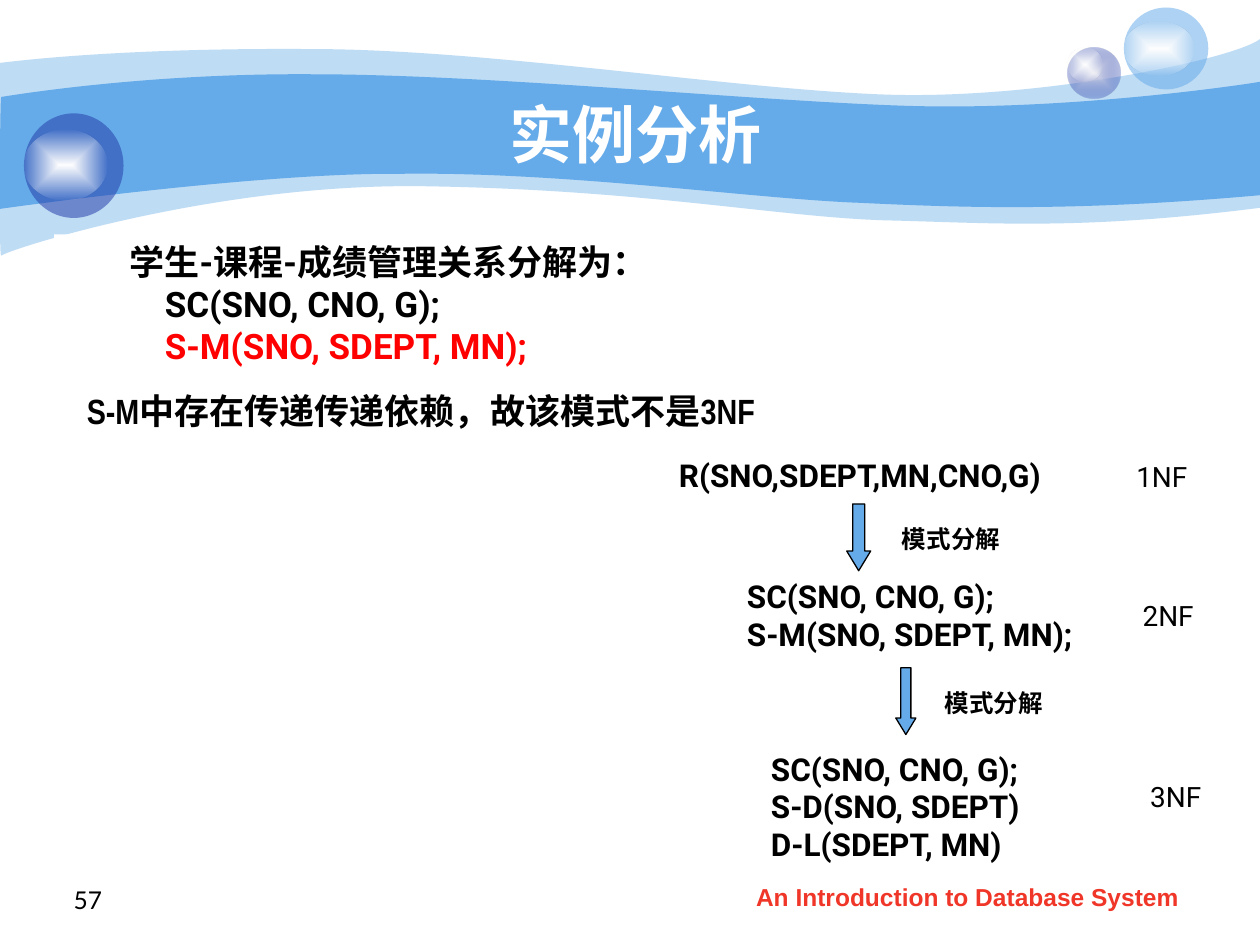
from lxml import etree
from pptx import Presentation
from pptx.dml.color import RGBColor
from pptx.enum.shapes import MSO_SHAPE
from pptx.enum.text import MSO_ANCHOR, MSO_AUTO_SIZE, PP_ALIGN
from pptx.oxml.ns import qn
from pptx.util import Inches, Pt

OVAL, RECT, DOWN = MSO_SHAPE.OVAL, MSO_SHAPE.RECTANGLE, MSO_SHAPE.DOWN_ARROW
LEFT, MID, RIGHT = PP_ALIGN.LEFT, PP_ALIGN.CENTER, PP_ALIGN.RIGHT
TOP, CENTER, LOW = MSO_ANCHOR.TOP, MSO_ANCHOR.MIDDLE, MSO_ANCHOR.BOTTOM
BLACK = RGBColor(0x00, 0x00, 0x00)
WHITE = RGBColor(0xFF, 0xFF, 0xFF)
SKY = RGBColor(0x65, 0xAA, 0xE9)
NAVY = RGBColor(0x23, 0x3D, 0xA9)
MIST = RGBColor(0xE1, 0xE2, 0xED)
RED = RGBColor(0xFF, 0x00, 0x00)
BRICK = RGBColor(0xF0, 0x36, 0x28)

deck = Presentation()
deck.slide_width, deck.slide_height = Inches(10), Inches(7.5)
COL = deck.slide_width // 100
ROW = deck.slide_height // 75
slide = deck.slides.add_slide(deck.slide_layouts[5])
shapes = slide.shapes


def paint(form, *tints):
    form.shadow.inherit = False
    form.line.fill.background()
    if len(tints) == 1:
        form.fill.solid()
        form.fill.fore_color.rgb = tints[0][0]
    else:
        form.fill.gradient()
        for stop, tint in zip(form.fill.gradient_stops, tints):
            stop.color.rgb = tint[0]
        grad = form._element.spPr.find(qn("a:gradFill"))
        grad.remove(grad.find(qn("a:lin")))
        focus = etree.SubElement(grad, qn("a:path"), path="shape")
        etree.SubElement(focus, qn("a:fillToRect"), l="50000", t="50000", r="50000", b="50000")
    for mark, tint in zip(form._element.spPr.iter(qn("a:srgbClr")), tints):
        if tint[1] < 100:
            etree.SubElement(mark, qn("a:alpha"), val=str(tint[1] * 1000))


def write(form, lines, size, font, bold=True, align=LEFT, anchor=TOP, wrap=True):
    frame = form.text_frame
    frame.word_wrap = wrap
    frame.auto_size = MSO_AUTO_SIZE.NONE
    frame.vertical_anchor = anchor
    for i, (text, tint, inset) in enumerate(lines):
        para = frame.add_paragraph() if i else frame.paragraphs[0]
        para.alignment = align
        if inset:
            para._p.get_or_add_pPr().set("marL", str(int(inset * COL)))
        run = para.add_run()
        run.text = text
        run.font.size, run.font.name = Pt(size), font
        run.font.bold, run.font.color.rgb = bold, tint


waves = [
    (41, (0, 5), [
        [(2.4, 4.7), (10.7, 3.8), (24.7, 3.9)],
        [(38.6, 3.9), (57.5, 7), (69.9, 7.5)],
        [(82.2, 8), (98, 4.7), (100, 3.1)],
        [(100, 16.5)],
        [(85.8, 18.3), (78.7, 17.7), (70.5, 17.5)],
        [(62.2, 17.3), (51.5, 15.1), (34.3, 14.8)],
        [(17.2, 14.4), (0.4, 19.9), (0.1, 20.3)],
        [(-0.1, 20.8), (0, 7.5), (0, 5)],
    ]),
    (100, (0.1, 7.7), [
        [(0.2, 7.7), (11, 5.8), (24.8, 5.9)],
        [(38.6, 5.9), (59.5, 8), (71.8, 8.4)],
        [(84.1, 8.8), (97.6, 6.9), (100, 6.5)],
        [(100, 15.5)],
        [(85.3, 16.8), (76.5, 16.5), (68.2, 16.1)],
        [(59.9, 15.8), (44.7, 13.6), (31.7, 13.8)],
        [(20.3, 13.7), (-0.2, 16.6), (-0.1, 16.6)],
        [(0, 16.6), (0, 7.7), (0.1, 7.7)],
    ]),
]
for alpha, start, bends in waves:
    pen = shapes.build_freeform(round(start[0] * COL), round(start[1] * ROW))
    pen.add_line_segments([(round(x * COL), round(y * ROW)) for bend in bends for x, y in bend])
    wave = pen.convert_to_shape()
    legs = iter(list(wave._element.spPr.iter(qn("a:lnTo"))))
    for bend in bends:
        group = [next(legs) for spot in bend]
        if len(group) == 3:
            curve = etree.Element(qn("a:cubicBezTo"))
            group[0].addprevious(curve)
            for leg in group:
                curve.append(leg[0])
                leg.getparent().remove(leg)
    paint(wave, (SKY, alpha))

SHINE = [(WHITE, 100), (WHITE, 0)]
orbs = [
    (84.7, 3.8, 4.2, 4, [(MIST, 100), (NAVY, 31)]),
    (84.7, 3.8, 2.8, 2.7, SHINE),
    (89.2, 0.6, 6.7, 6.5, [(SKY, 53)]),
    (89.2, 1.7, 5.6, 4.3, SHINE),
    (1.9, 9, 7.9, 8.3, [(NAVY, 53)]),
    (1.9, 10.3, 6.6, 5.6, SHINE),
]
for x, y, w, h, tints in orbs:
    orb = shapes.add_shape(OVAL, int(x * COL), int(y * ROW), int(w * COL), int(h * ROW))
    paint(orb, *tints)

title = shapes.title
title.left, title.top = 10 * COL, int(7.5 * ROW)
title.width, title.height = int(80.8 * COL), int(6.2 * ROW)
shapes._spTree.append(title._element)
write(title, [("实例分析", WHITE, 0)], 36, "Arial", align=MID, anchor=CENTER)

panels = [
    (52.9, 35.7, 35.7, 4, 18, "Roboto", [("R(SNO,SDEPT,MN,CNO,G)", BLACK, 0)]),
    (53.3, 45.3, 35.3, 7, 18, "Roboto", [
        ("SC(SNO, CNO, G);", BLACK, 5), ("S-M(SNO, SDEPT, MN);", BLACK, 5)]),
    (55.2, 59, 33.2, 10, 18, "Roboto", [
        ("SC(SNO, CNO, G);", BLACK, 5), ("S-D(SNO, SDEPT)", BLACK, 5),
        ("D-L(SDEPT, MN)", BLACK, 5)]),
    (5.9, 30.4, 62.5, 4.3, 20, "Arial Narrow", [
        ("S-M中存在传递传递依赖，故该模式不是3NF", BLACK, 0)]),
    (4.3, 18.6, 51.2, 11, 20, "Roboto", [
        ("学生-课程-成绩管理关系分解为：", BLACK, 5),
        ("SC(SNO, CNO, G);", BLACK, 7.8), ("S-M(SNO, SDEPT, MN);", RED, 7.8)]),
]
for x, y, w, h, size, font, lines in panels:
    panel = shapes.add_shape(RECT, int(x * COL), int(y * ROW), int(w * COL), int(h * ROW))
    paint(panel, (WHITE, 100))
    write(panel, lines, size, font)

for x, y, w in [(67.2, 40, 1.9), (71.1, 53, 1.6)]:
    arrow = shapes.add_shape(DOWN, int(x * COL), int(y * ROW), int(w * COL), int(5.3 * ROW))
    paint(arrow, (SKY, 100))
    arrow.adjustments[0], arrow.adjustments[1] = 0.5, 0.82
    arrow.line.color.rgb, arrow.line.width = BLACK, Pt(0.75)

notes = [
    (89.2, 36, 6.2, 3.7, "1NF", 16, "Roboto", BLACK, False, LEFT, TOP, False),
    (89.7, 47, 6.2, 3.7, "2NF", 16, "Roboto", BLACK, False, LEFT, TOP, False),
    (90.3, 61.4, 6.2, 3.7, "3NF", 16, "Roboto", BLACK, False, LEFT, TOP, False),
    (70.6, 41.1, 9.8, 3.3, "模式分解", 14, "Roboto", BLACK, True, LEFT, TOP, False),
    (74, 54.1, 9.8, 3.3, "模式分解", 14, "Roboto", BLACK, True, LEFT, TOP, False),
    (57.1, 69.5, 39.4, 3.5, "An Introduction to Database System", 14, "Arial", BRICK, True, MID, TOP, True),
    (2.7, 68.1, 6.4, 5, "57", 14, "Lato", BLACK, False, RIGHT, LOW, True),
]
for x, y, w, h, text, size, font, tint, *style in notes:
    note = shapes.add_textbox(int(x * COL), int(y * ROW), int(w * COL), int(h * ROW))
    write(note, [(text, tint, 0)], size, font, *style)

deck.save("out.pptx")
